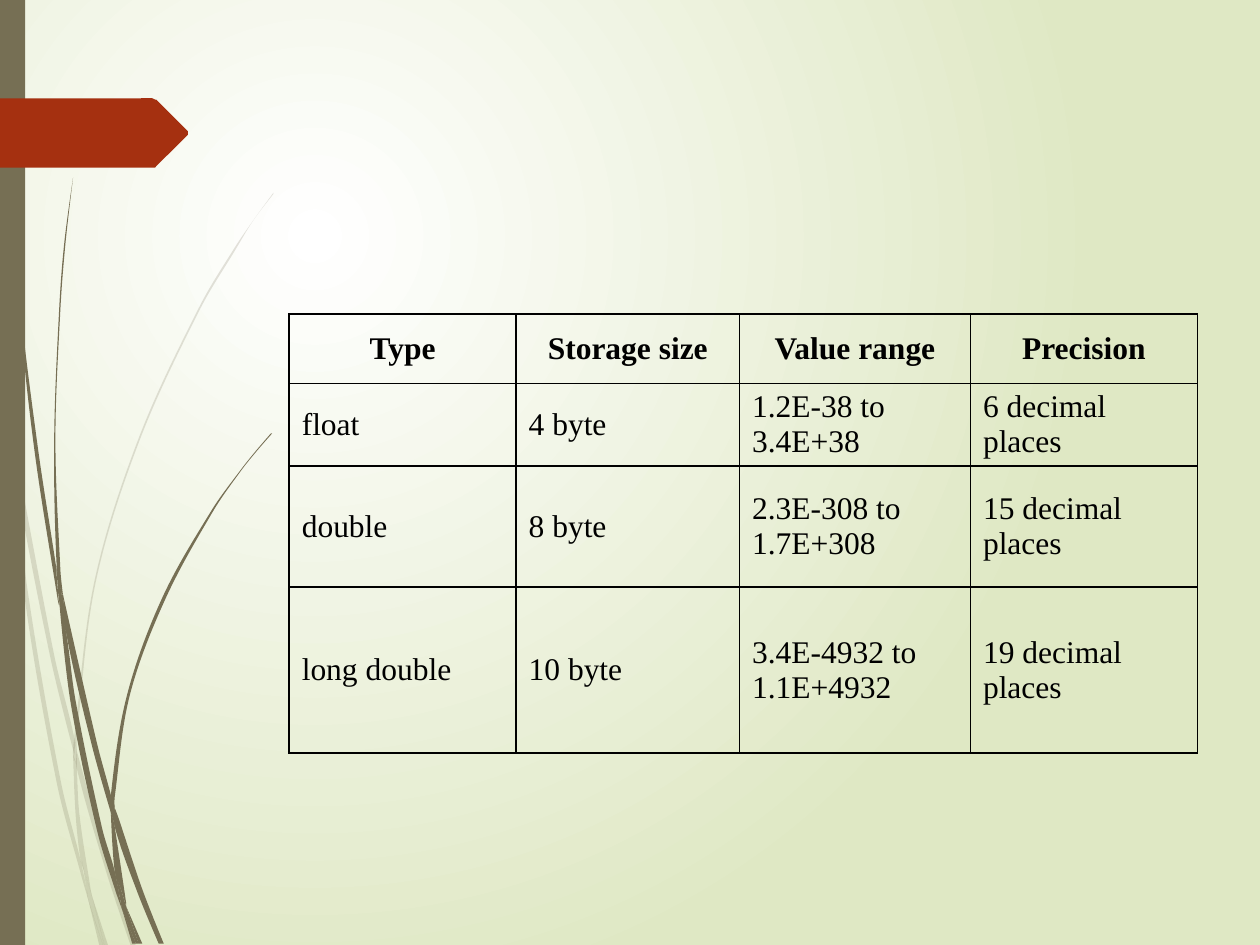
from dataclasses import dataclass
from math import hypot

from lxml.etree import SubElement
from pptx import Presentation
from pptx.dml.color import RGBColor
from pptx.enum.shapes import MSO_SHAPE
from pptx.enum.text import MSO_ANCHOR, PP_ALIGN
from pptx.oxml.ns import qn
from pptx.util import Cm, Pt


@dataclass(frozen=True)
class Theme:
    """Colours, font and sizes of the slide."""
    centre: RGBColor = RGBColor(0xFF, 0xFF, 0xFF)
    edge: RGBColor = RGBColor(0xDF, 0xE8, 0xC4)
    olive: RGBColor = RGBColor(0x76, 0x6F, 0x54)
    red: RGBColor = RGBColor(0xA5, 0x30, 0x10)
    ink: RGBColor = RGBColor(0, 0, 0)
    font: str = "Times New Roman"
    text_size: Pt = Pt(18)
    border: Pt = Pt(1)
    pale_alpha: int = 20


THEME = Theme()
SLIDE_W, SLIDE_H = 25.4, 19.05
GRID = SLIDE_W / 1000

PALE_BLADES = [
    [(8, 350), (6, 322), (0, 282), (0, 299), (7, 344)],
    [(40, 522), (59, 599), (59, 586), (43, 520), (10, 345), (12, 376)],
    [(64, 607), (61, 596), (61, 610), (85, 694), (104, 751), (108, 751), (88, 692)],
    [(83, 751), (86, 751), (73, 711)],
    [(64, 683), (48, 619), (22, 469), (12, 376), (8, 350), (19, 470), (45, 621),
     (64, 693), (70, 714), (69, 707)],
    [(58, 599), (60, 646), (64, 683), (67, 692), (73, 711), (72, 706), (63, 646),
     (61, 610), (61, 608)],
    [(61, 584), (76, 462), (111, 349), (159, 245), (187, 198), (201, 175), (217, 154),
     (217, 153), (201, 175), (186, 197), (158, 244), (110, 348), (75, 461), (59, 584),
     (59, 586), (61, 596)],
    [(70, 714), (79, 751), (82, 751)],
    [(61, 608), (61, 610), (61, 596), (59, 586), (58, 599)],
    [(67, 692), (65, 683), (69, 707), (70, 714), (82, 751), (83, 751), (73, 711)],
]
DARK_BLADES = [
    [(5, 110), (14, 233), (27, 355), (46, 477), (47, 481), (45, 457), (45, 453),
     (30, 355), (15, 232), (6, 109), (4, 48), (3, 0), (2, 0), (3, 48)],
    [(73, 592), (88, 645), (88, 633), (88, 631), (77, 590), (50, 472), (53, 505)],
    [(94, 649), (91, 641), (91, 656), (109, 708), (126, 749), (130, 749), (113, 706)],
    [(91, 691), (81, 657), (60, 556), (53, 505), (47, 477), (56, 557), (77, 659),
     (92, 708), (97, 722), (96, 717)],
    [(50, 472), (48, 453), (44, 349), (48, 245), (52, 193), (58, 141), (58, 141),
     (51, 193), (47, 245), (43, 349), (45, 449), (49, 472)],
    [(110, 749), (113, 749), (100, 719)],
    [(47, 477), (53, 505), (50, 472), (49, 472), (45, 449), (45, 453)],
    [(91, 633), (103, 552), (131, 476), (169, 406), (191, 374), (203, 359), (216, 344),
     (215, 344), (203, 358), (191, 373), (168, 405), (129, 474), (101, 551), (88, 631),
     (91, 641)],
    [(97, 722), (105, 749), (108, 749)],
    [(88, 645), (91, 691), (96, 706), (100, 719), (100, 716), (91, 656), (90, 651)],
    [(88, 645), (90, 651), (91, 656), (91, 641), (88, 631), (88, 633)],
    [(96, 706), (91, 691), (96, 717), (97, 722), (108, 749), (110, 749), (100, 719)],
]
ARROW = [(149, 107), (124, 132), (123, 133), (121, 133), (111, 133), (0, 133), (0, 78),
         (111, 78), (121, 78), (123, 79), (124, 79), (149, 104)]

TYPE_ROWS = [
    ("Type", "Storage size", "Value range", "Precision"),
    ("float", "4 byte", "1.2E-38 to 3.4E+38", "6 decimal places"),
    ("double", "8 byte", "2.3E-308 to 1.7E+308", "15 decimal places"),
    ("long double", "10 byte", "3.4E-4932 to 1.1E+4932", "19 decimal places"),
]
COLUMN_SHARES = (4.57, 4.5, 4.65, 4.57)
ROW_SHARES = (1.4, 1.4, 2.44, 3.35)


def paint(shape, colour, alpha=None):
    """Give a shape a flat fill, without line or shadow."""
    shape.shadow.inherit = False
    shape.line.fill.background()
    shape.fill.solid()
    shape.fill.fore_color.rgb = colour
    if alpha is not None:
        tint = shape.fill._xPr.find(".//" + qn("a:srgbClr"))
        SubElement(tint, qn("a:alpha"), val=str(alpha * 1000))


def set_background(slide):
    """Fill the background with a circular gradient centred in the upper left."""
    fill = slide.background.fill
    fill.gradient()
    for stop, colour, position in zip(fill.gradient_stops, (THEME.centre, THEME.edge), (0, 1)):
        stop.color.rgb = colour
        stop.position = position
    gradient = slide._element.find(".//" + qn("a:gradFill"))
    gradient.remove(gradient.find(qn("a:lin")))
    circle = SubElement(gradient, qn("a:path"), path="circle")
    SubElement(circle, qn("a:fillToRect"), l="50000", t="50000", r="100000", b="100000")


def tangent(before, point, after):
    """Return the unit direction through a point, or zero at a corner."""
    ax, ay = point[0] - before[0], point[1] - before[1]
    bx, by = after[0] - point[0], after[1] - point[1]
    lengths = hypot(ax, ay) * hypot(bx, by)
    if lengths == 0 or (ax * bx + ay * by) / lengths < 0.8:
        return 0, 0
    span = hypot(ax + bx, ay + by)
    return (ax + bx) / span, (ay + by) / span


def add_outline(shapes, left, top, grid_points, colour, alpha=None):
    """Draw a closed outline that curves between points and keeps its corners."""
    points = [(Cm(left + x * GRID), Cm(top + y * GRID)) for x, y in grid_points]
    following = points[1:] + points[:1]
    builder = shapes.build_freeform(*points[0])
    builder.add_line_segments(following, close=True)
    shape = builder.convert_to_shape()
    tangents = [tangent(*trio) for trio in zip(points[-1:] + points[:-1], points, following)]
    segments = shape._element.findall(".//" + qn("a:lnTo"))
    for segment, start, end, leave, arrive in zip(
            segments, points, following, tangents, tangents[1:] + tangents[:1]):
        reach = hypot(end[0] - start[0], end[1] - start[1]) / 3
        curve = segment.makeelement(qn("a:cubicBezTo"))
        for anchor, direction, pull in ((start, leave, reach), (end, arrive, -reach), (end, (0, 0), 0)):
            SubElement(curve, qn("a:pt"),
                       x=str(round(anchor[0] + direction[0] * pull - shape.left)),
                       y=str(round(anchor[1] + direction[1] * pull - shape.top)))
        segment.getparent().replace(segment, curve)
    paint(shape, colour, alpha)


def add_grass(slide, left, top):
    """Draw the pale blades and the dark blades in front of them."""
    for blades, alpha in ((PALE_BLADES, THEME.pale_alpha), (DARK_BLADES, None)):
        tuft = slide.shapes.add_group_shape()
        for blade in blades:
            add_outline(tuft.shapes, left, top, blade, THEME.olive, alpha)


def add_side_band(slide, left, top, height):
    """Draw the edge bar and the page arrow on it."""
    bar = slide.shapes.add_shape(
        MSO_SHAPE.RECTANGLE, Cm(left), Cm(top), Cm(0.51), Cm(height))
    paint(bar, THEME.olive)
    add_outline(slide.shapes, left, top, ARROW, THEME.red)


def add_borders(cell):
    """Outline a cell on all four sides."""
    properties = cell._tc.get_or_add_tcPr()
    for side in ("lnL", "lnR", "lnT", "lnB"):
        line = SubElement(properties, qn(f"a:{side}"), w=str(THEME.border))
        fill = SubElement(line, qn("a:solidFill"))
        SubElement(fill, qn("a:srgbClr"), val=str(THEME.ink))


def fill_cell(cell, text, is_header):
    """Write and style one cell."""
    add_borders(cell)
    cell.fill.background()
    cell.vertical_anchor = MSO_ANCHOR.MIDDLE
    cell.text = text
    paragraph = cell.text_frame.paragraphs[0]
    paragraph.alignment = PP_ALIGN.CENTER if is_header else PP_ALIGN.LEFT
    font = paragraph.font
    font.name, font.size, font.bold = THEME.font, THEME.text_size, is_header
    font.color.rgb = THEME.ink


def add_type_table(slide, left, top, width, height):
    """Place the table of floating-point types in the given box."""
    table = slide.shapes.add_table(
        len(TYPE_ROWS), len(COLUMN_SHARES), Cm(left), Cm(top), Cm(width), Cm(height)).table
    table.first_row = table.horz_banding = False
    for column, share in zip(table.columns, COLUMN_SHARES):
        column.width = Cm(width * share / sum(COLUMN_SHARES))
    for row, share in zip(table.rows, ROW_SHARES):
        row.height = Cm(height * share / sum(ROW_SHARES))
    for row_index, texts in enumerate(TYPE_ROWS):
        for column_index, text in enumerate(texts):
            fill_cell(table.cell(row_index, column_index), text, row_index == 0)


def main():
    """Build and save the slide."""
    presentation = Presentation()
    presentation.slide_width, presentation.slide_height = Cm(SLIDE_W), Cm(SLIDE_H)
    slide = presentation.slides.add_slide(presentation.slide_layouts[6])
    set_background(slide)
    add_grass(slide, 0, 0)
    add_side_band(slide, 0, 0, SLIDE_H)
    add_type_table(slide, 5.83, 6.33, 18.31, 8.59)
    presentation.save("out.pptx")


if __name__ == "__main__":
    main()
